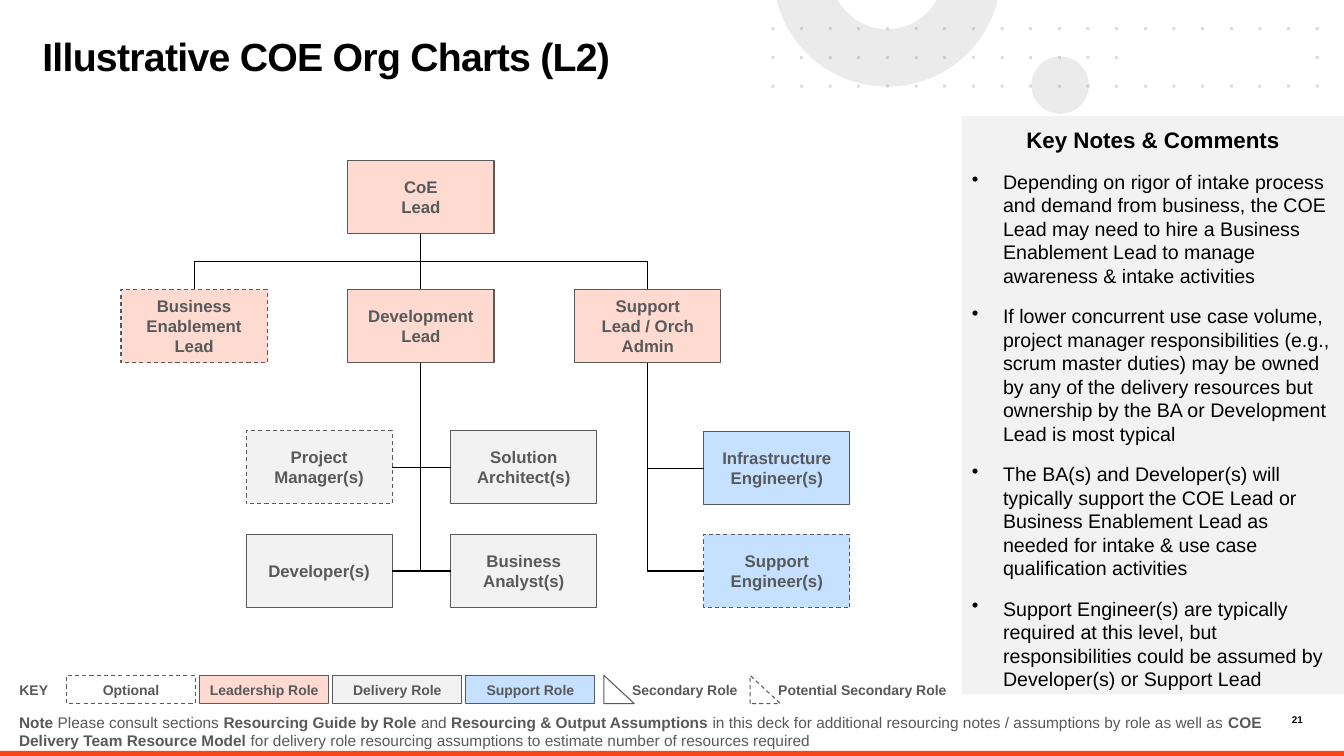
from math import asin, cos, pi, sin
from lxml.etree import SubElement
from pptx import Presentation
from pptx.dml.color import RGBColor
from pptx.enum.dml import MSO_LINE
from pptx.enum.shapes import MSO_CONNECTOR as Connector, MSO_SHAPE as Shape
from pptx.enum.text import MSO_ANCHOR as Anchor, PP_ALIGN as Align
from pptx.oxml.ns import qn
from pptx.util import Pt

EMU_PER_PX = 9144
FONT = "Arial"
COLORS = {"black": "000000", "gray": "58595B", "white": "FFFFFF", "ring": "D9D9D9", "accent": "FA4616",
          "leadership": "FEDAD0", "delivery": "F2F2F2", "support": "C6E0FF", "panel": "F2F2F2"}
TOP, LEFT, BOTTOM, RIGHT = range(4)
ROLES = {
    "coe": ("CoE\nLead", 345, 159, "leadership", False),
    "enablement": ("Business Enablement\nLead", 120, 287, "leadership", True),
    "development": ("Development\nLead", 345, 287, "leadership", False),
    "support": ("Support\nLead / Orch Admin", 570, 287, "leadership", False),
    "manager": ("Project Manager(s)", 244, 427, "delivery", True),
    "architect": ("Solution\nArchitect(s)", 447, 427, "delivery", False),
    "developer": ("Developer(s)", 244, 530, "delivery", False),
    "analyst": ("Business\nAnalyst(s)", 447, 530, "delivery", False),
    "infrastructure": ("Infrastructure\nEngineer(s)", 698, 428, "support", False),
    "engineer": ("Support\nEngineer(s)", 698, 530, "support", True),
}
LINKS = [
    ("enablement", TOP, "coe"), ("development", TOP, "coe"), ("support", TOP, "coe"),
    ("manager", RIGHT, "development"), ("architect", LEFT, "development"),
    ("developer", RIGHT, "development"), ("analyst", LEFT, "development"),
    ("infrastructure", LEFT, "support"), ("engineer", LEFT, "support"),
]
KEY_BOXES = [("Optional", "white", True), ("Leadership Role", "leadership", False),
             ("Delivery Role", "delivery", False), ("Support Role", "support", False)]
KEY_TRIANGLES = [("Secondary Role", 599, 128, False), ("Potential Secondary Role", 744, 195, True)]
COMMENTS = [
    "Key Notes & Comments",
    "Depending on rigor of intake process and demand from business, the COE Lead may need to hire "
    "a Business Enablement Lead to manage awareness & intake activities",
    "If lower concurrent use case volume, project manager responsibilities (e.g., scrum master duties) "
    "may be owned by any of the delivery resources but ownership by the BA or Development Lead is most typical",
    "The BA(s) and Developer(s) will typically support the COE Lead or Business Enablement Lead as needed "
    "for intake & use case qualification activities",
    "Support Engineer(s) are typically required at this level, but responsibilities could be assumed by "
    "Developer(s) or Support Lead",
]
NOTE = [
    ("Note ", "Please consult sections "),
    ("Resourcing Guide by Role ", "and "),
    ("Resourcing & Output Assumptions",
     " in this deck for additional resourcing notes / assumptions by role as well as "),
    ("COE Delivery Team Resource Model ",
     "for delivery role resourcing assumptions to estimate number of resources required"),
]


def px(value):
    return round(value * EMU_PER_PX)


def color(name):
    return RGBColor.from_string(COLORS[name])


class OrgSlide:
    def __init__(self, presentation):
        self.shapes = presentation.slides.add_slide(presentation.slide_layouts[6]).shapes

    def style_font(self, font, size, ink="gray", bold=True):
        font.name, font.size, font.bold = FONT, Pt(size), bold
        font.color.rgb = color(ink)

    def paint(self, shape, fill, outlined=False, dashed=False, alpha=None):
        shape.shadow.inherit = False
        shape.fill.solid()
        shape.fill.fore_color.rgb = color(fill)
        if alpha:
            tint = shape._element.spPr.find(qn("a:solidFill"))[0]
            SubElement(tint, qn("a:alpha"), val=str(alpha * 1000))
        if outlined:
            shape.line.color.rgb = color("gray")
            shape.line.width = Pt(0.75)
            shape.line.dash_style = MSO_LINE.DASH if dashed else None
        else:
            shape.line.fill.background()

    def set_text(self, shape, text, size, ink="gray", align=Align.CENTER, anchor=Anchor.MIDDLE, inset=10):
        frame = shape.text_frame
        frame.word_wrap, frame.vertical_anchor = True, anchor
        frame.margin_left = frame.margin_right = frame.margin_top = frame.margin_bottom = px(inset)
        frame.text = text
        for paragraph in frame.paragraphs:
            paragraph.alignment = align
            for run in paragraph.runs:
                self.style_font(run.font, size, ink)
        return frame.paragraphs

    def block(self, bounds, fill, outlined=False, dashed=False, kind=Shape.RECTANGLE, alpha=None):
        shape = self.shapes.add_shape(kind, *map(px, bounds))
        self.paint(shape, fill, outlined, dashed, alpha)
        return shape

    def box(self, text, bounds, fill, dashed, size):
        shape = self.block(bounds, fill, True, dashed)
        self.set_text(shape, text, size)
        return shape

    def label(self, text, bounds, size, **style):
        return self.set_text(self.shapes.add_textbox(*map(px, bounds)), text, size, **style)

    def outline(self, contours, fill, alpha):
        scaled = [[(px(x), px(y)) for x, y in contour] for contour in contours]
        builder = self.shapes.build_freeform(*scaled[0][0])
        builder.add_line_segments(scaled[0][1:])
        for start, *points in scaled[1:]:
            builder.move_to(*start)
            builder.add_line_segments(points)
        self.paint(builder.convert_to_shape(), fill, alpha=alpha)

    def elbow(self, child, side, parent):
        connector = self.shapes.add_connector(Connector.ELBOW, 0, 0, 0, 0)
        connector.begin_connect(child, side)
        connector.end_connect(parent, BOTTOM)
        connector.line.color.rgb = color("black")
        connector.line.width = Pt(0.75)
        properties = connector._element.spPr
        SubElement(properties, qn("a:effectLst"))
        if side != TOP:
            properties.find(qn("a:prstGeom")).set("prst", "bentConnector2")
            return
        middle_x = (connector.begin_x + connector.end_x) // 2
        middle_y = (connector.begin_y + connector.end_y) // 2
        across, rise = connector.begin_x - middle_x, connector.begin_y - middle_y
        connector.begin_x, connector.begin_y = middle_x - rise, middle_y + across
        connector.end_x, connector.end_y = middle_x + rise, middle_y - across
        properties.find(qn("a:xfrm")).set("rot", "16200000")

    def backdrop(self):
        self.label("21", (1253, 708, 39, 13), 7, ink="black", align=Align.RIGHT, anchor=Anchor.TOP, inset=0)
        self.block((0, 745, 1333, 5), "accent")
        self.block((1023, 56, 57, 57), "ring", kind=Shape.OVAL, alpha=50)
        center_x, center_y, steps = 880, -27, 48
        ring = []
        for radius, order in ((113, 1), (56, -1)):
            start = asin(-center_y / radius)
            angles = [start + (pi - 2 * start) * step / steps for step in range(steps + 1)]
            ring += [(center_x + radius * cos(angle), center_y + radius * sin(angle)) for angle in angles[::order]]
        self.outline([ring], "ring", 50)
        corners = [(765 + 28.42 * column, 27 + 28.5 * row) for row in range(3) for column in range(20)
                   if row != 1 or not 13 <= column <= 18]
        self.outline([[(x, y), (x + 3, y), (x + 3, y + 3), (x, y + 3)] for x, y in corners], "gray", 20)

    def title(self, text):
        paragraph, = self.label(text, (42, 39, 723, 75), 28, ink="black", align=Align.LEFT, anchor=Anchor.TOP, inset=0)
        paragraph.line_spacing = 0.85
        paragraph.runs[0]._r.get_or_add_rPr().set("spc", "-50")

    def chart(self):
        boxes = {role: self.box(text, (left, top, 145, 73), fill, dashed, 12)
                 for role, (text, left, top, fill, dashed) in ROLES.items()}
        for child, side, parent in LINKS:
            self.elbow(boxes[child], side, boxes[parent])

    def comments(self):
        panel = self.block((954, 115, 379, 574), "panel")
        heading, *bullets = self.set_text(panel, "\n".join(COMMENTS), 14, "black", Align.LEFT, Anchor.TOP)
        heading.alignment, heading.space_after = Align.CENTER, Pt(12)
        heading.runs[0].font.size = Pt(16)
        for paragraph in bullets:
            properties = paragraph._p.get_or_add_pPr()
            properties.set("marL", str(px(31)))
            properties.set("indent", str(px(-31)))
            SubElement(properties, qn("a:buChar"), char="•")
            paragraph.space_after = Pt(12)
            paragraph.runs[0].font.bold = False

    def key(self):
        self.label("KEY", (7, 671, 53, 27), 10)
        for index, (text, fill, dashed) in enumerate(KEY_BOXES):
            self.box(text, (66 + 132 * index, 670, 128, 28), fill, dashed, 10)
        for text, left, width, dashed in KEY_TRIANGLES:
            self.block((left, 670, 30, 28), "white", True, dashed, Shape.RIGHT_TRIANGLE)
            self.label(text, (left + 18, 670, width, 28), 10, align=Align.LEFT)

    def note(self):
        paragraph, = self.set_text(self.block((9, 707, 1261, 37), "white"), "", 11, align=Align.LEFT)
        for pair in NOTE:
            for text, bold in zip(pair, (True, False)):
                run = paragraph.add_run()
                run.text = text
                self.style_font(run.font, 11, bold=bold)


presentation = Presentation()
presentation.slide_width, presentation.slide_height = px(1333), px(750)
page = OrgSlide(presentation)
page.backdrop()
page.title("Illustrative COE Org Charts (L2)")
page.chart()
page.comments()
page.key()
page.note()
presentation.save("out.pptx")
